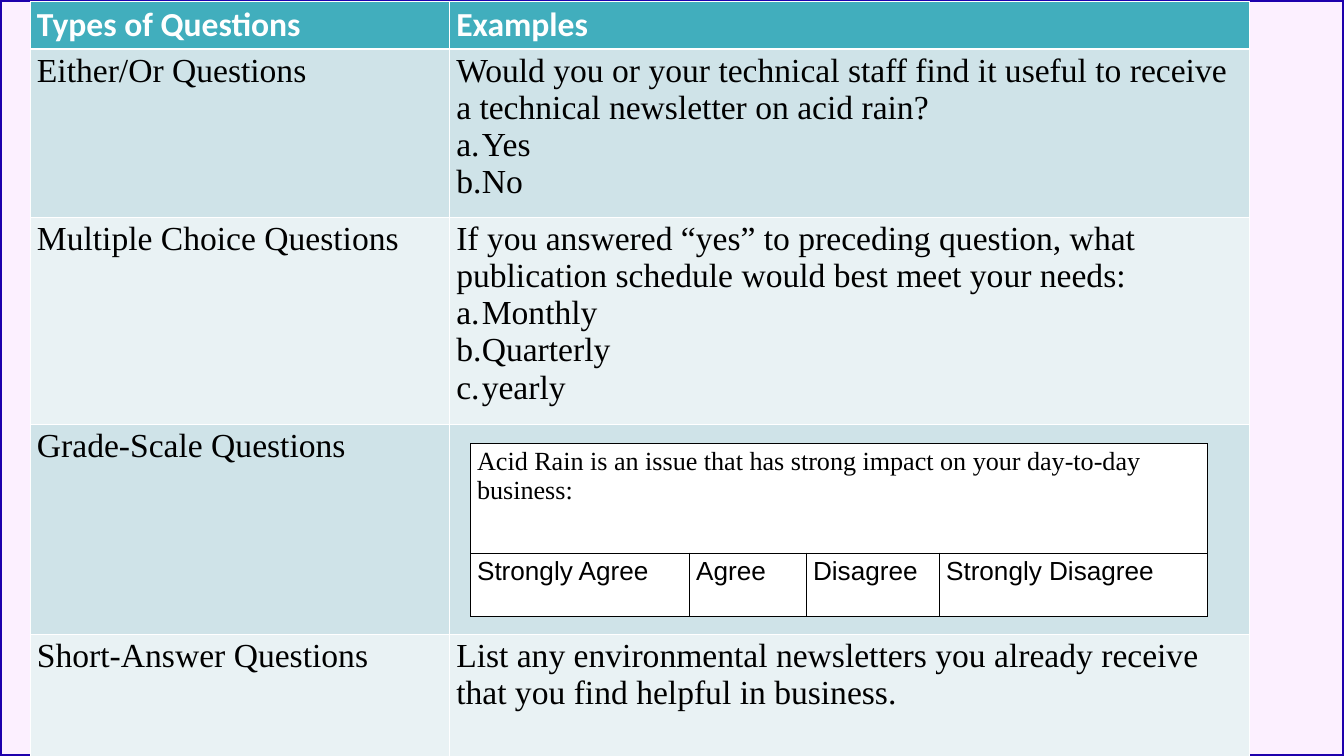
import pptx
import pptx.dml.color
import pptx.enum.shapes
import pptx.oxml
import pptx.oxml.ns
import pptx.util
from lxml import etree

Inches = pptx.util.Inches
HUES = {
    "page": "FCF0FF", "frame": "1D00AD", "head": "41AEBD",
    "dark": "CFE3E8", "light": "E9F2F4", "white": "FFFFFF", "black": "000000",
}
TYPES = [
    ("Either/Or Questions",
     "Would you or your technical staff find it useful to receive a technical newsletter on acid rain?",
     ["Yes", "No"]),
    ("Multiple Choice Questions",
     "If you answered “yes” to preceding question, what publication schedule would best meet your needs:",
     ["Monthly", "Quarterly", "yearly"]),
    ("Grade-Scale Questions", "", []),
    ("Short-Answer Questions",
     "List any environmental newsletters you already receive that you find helpful in business.", []),
]
PROMPT = "Acid Rain is an issue that has strong impact on your day-to-day business:"
GRADES = ["Strongly Agree", "Agree", "Disagree", "Strongly Disagree"]


def color(name):
    return pptx.dml.color.RGBColor.from_string(HUES[name])


def node(parent, tag, **attrs):
    return etree.SubElement(parent, pptx.oxml.ns.qn(tag), **attrs)


def letter(para):
    props = para._p.get_or_add_pPr()
    props.set("marL", str(Inches(0.38)))
    props.set("indent", str(-Inches(0.38)))
    node(node(props, "a:buClr"), "a:srgbClr", val=HUES["black"])
    node(props, "a:buAutoNum", type="alphaLcPeriod")


def write(frame, text, size=36, face="Times New Roman", hue="black", bold=False, items=()):
    for index, line in enumerate([text, *items]):
        para = frame.paragraphs[0] if index == 0 else frame.add_paragraph()
        if index:
            letter(para)
        run = para.add_run()
        run.text = line
        run.font.size = pptx.util.Pt(size)
        run.font.name = face
        run.font.bold = bold
        run.font.color.rgb = color(hue)


def paint(cell, fill, edge, top=1, bottom=1):
    props = cell._tc.get_or_add_tcPr()
    for side, width in (("L", 1), ("R", 1), ("T", top), ("B", bottom)):
        line = node(props, "a:ln" + side, w=str(pptx.util.Pt(width)))
        node(node(line, "a:solidFill"), "a:srgbClr", val=HUES[edge])
    cell.fill.solid()
    cell.fill.fore_color.rgb = color(fill)


def grid(slide, left, top, cols, rows):
    table = slide.shapes.add_table(
        len(rows), len(cols), Inches(left), Inches(top),
        Inches(sum(cols)), Inches(sum(rows))).table
    table.first_row = table.horz_banding = False
    for col, width in zip(table.columns, cols):
        col.width = Inches(width)
    for row, height in zip(table.rows, rows):
        row.height = Inches(height)
    return table


def border(slide, left, top, width, height):
    box = slide.shapes.add_shape(
        pptx.enum.shapes.MSO_SHAPE.RECTANGLE,
        Inches(left), Inches(top), Inches(width), Inches(height))
    box.shadow.inherit = False
    box.fill.background()
    box.line.color.rgb = color("frame")
    box.line.width = pptx.util.Pt(4.5)


def survey(slide, left, top, width, height):
    first = 6.24
    rows = [0.7, 2.5, 3.08, 3.13]
    table = grid(slide, left, top, [first, width - first], rows + [height - sum(rows)])
    for cell, text in zip(table.rows[0].cells, ("Types of Questions", "Examples")):
        paint(cell, "head", "white", bottom=3)
        write(cell.text_frame, text, face="Calibri", hue="white", bold=True)
    for index, (kind, text, items) in enumerate(TYPES, 1):
        name, sample = table.rows[index].cells
        for cell in (name, sample):
            paint(cell, "dark" if index % 2 else "light", "white", top=3 if index == 1 else 1)
        write(name.text_frame, kind)
        if text:
            write(sample.text_frame, text, items=items)


def scale(slide, left, top, width, height):
    cols = [3.26, 1.74, 1.98]
    ask = 1.63
    table = grid(slide, left, top, cols + [width - sum(cols)], [ask, height - ask])
    for cell in table.iter_cells():
        paint(cell, "white", "black")
    table.cell(0, 0).merge(table.cell(0, 3))
    write(table.cell(0, 0).text_frame, PROMPT, size=28)
    for cell, grade in zip(table.rows[1].cells, GRADES):
        write(cell.text_frame, grade, size=28, face="Arial")


def main():
    deck = pptx.Presentation()
    deck.slide_width, deck.slide_height = Inches(20), Inches(11.25)
    slide = deck.slides.add_slide(deck.slide_layouts[6])
    slide.background.fill.solid()
    slide.background.fill.fore_color.rgb = color("page")
    border(slide, 0, 0, 20, 11.25)
    survey(slide, 0.45, 0.02, 18.14, 11.41)
    scale(slide, 7, 6.6, 10.97, 2.57)
    deck.save("out.pptx")


if __name__ == "__main__":
    main()
